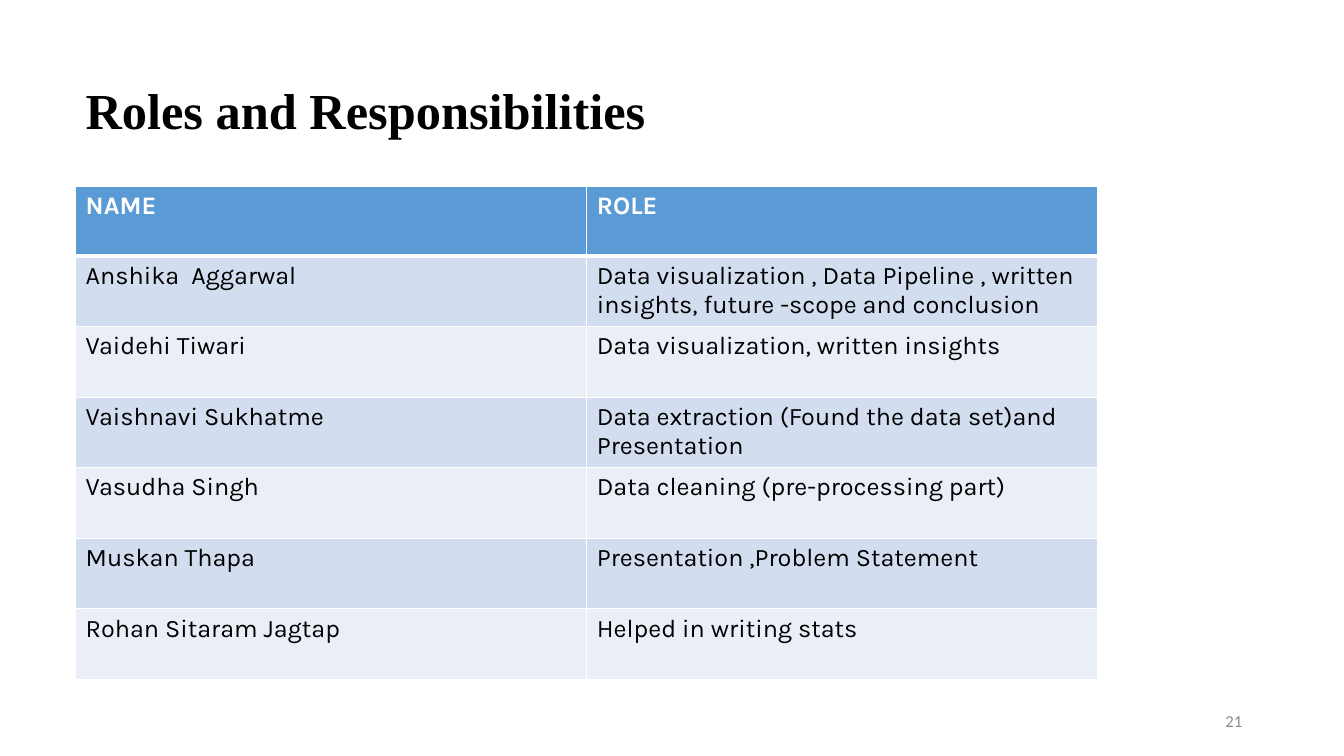
from lxml import etree
from pptx import Presentation
from pptx.dml.color import RGBColor
from pptx.enum import text as t
from pptx.oxml import ns
from pptx.util import Inches, Pt

WHITE = RGBColor(0xFF, 0xFF, 0xFF)
BLACK = RGBColor(0, 0, 0)
BLUE = RGBColor(0x5B, 0x9B, 0xD5)
BANDS = [RGBColor(0xEA, 0xEF, 0xF7), RGBColor(0xD2, 0xDE, 0xEF)]
GRAY = RGBColor(0x8C, 0x8C, 0x8C)

ROWS = [
    ("NAME", "ROLE"),
    ("Anshika  Aggarwal", "Data visualization , Data Pipeline , written "
     "insights, future -scope and conclusion"),
    ("Vaidehi Tiwari", "Data visualization, written insights"),
    ("Vaishnavi Sukhatme", "Data extraction (Found the data set)and Presentation"),
    ("Vasudha Singh", "Data cleaning (pre-processing part)"),
    ("Muskan Thapa", "Presentation ,Problem Statement"),
    ("Rohan Sitaram Jagtap", "Helped in writing stats"),
]


def write(frame, words, font="Karla", size=18, color=BLACK, bold=False,
          align=t.PP_ALIGN.LEFT, space=1.0):
    para = frame.paragraphs[0]
    para.alignment = align
    para.line_spacing = space
    run = para.add_run()
    run.text = words
    run.font.name = font
    run.font.size = Pt(size)
    run.font.bold = bold
    run.font.color.rgb = color


def add_text(slide, box, words, **style):
    frame = slide.shapes.add_textbox(*map(Inches, box)).text_frame
    frame.word_wrap = True
    frame.vertical_anchor = t.MSO_ANCHOR.MIDDLE
    write(frame, words, **style)


def add_edge(cell, side, width):
    props = cell._tc.get_or_add_tcPr()
    line = etree.SubElement(props, ns.qn(f"a:ln{side}"), w=str(Pt(width)))
    fill = etree.SubElement(line, ns.qn("a:solidFill"))
    etree.SubElement(fill, ns.qn("a:srgbClr"), val=str(WHITE))


def fill_cell(cell, words, row):
    head = row == 0
    # Borders come before the fill in the cell properties
    for side in "LRTB":
        thick = (head and side == "B") or (row == 1 and side == "T")
        add_edge(cell, side, 3 if thick else 1)
    cell.fill.solid()
    cell.fill.fore_color.rgb = BLUE if head else BANDS[row % 2]
    write(cell.text_frame, words, color=WHITE if head else BLACK, bold=head)


def add_roles(slide):
    box = map(Inches, (0.75, 1.85, 10.14, 4.91))
    table = slide.shapes.add_table(len(ROWS), 2, *box).table
    for col in table.columns:
        col.width = Inches(5.07)
    for i, pair in enumerate(ROWS):
        table.rows[i].height = Inches(0.7 if i else 0.69)
        for j, words in enumerate(pair):
            fill_cell(table.cell(i, j), words, i)


def main():
    deck = Presentation()
    deck.slide_width = Inches(13.33)
    deck.slide_height = Inches(7.5)
    slide = deck.slides.add_slide(deck.slide_layouts[6])

    # Title
    add_text(slide, (0.75, 0.4, 11.67, 1.45), "Roles and Responsibilities",
             font="Times New Roman", size=36, bold=True, space=0.9)
    # Table of names and roles
    add_roles(slide)
    # Page number
    add_text(slide, (9.42, 6.95, 3, 0.4), "21", font="Calibri", size=12,
             color=GRAY, align=t.PP_ALIGN.RIGHT)

    deck.save("out.pptx")


if __name__ == "__main__":
    main()
